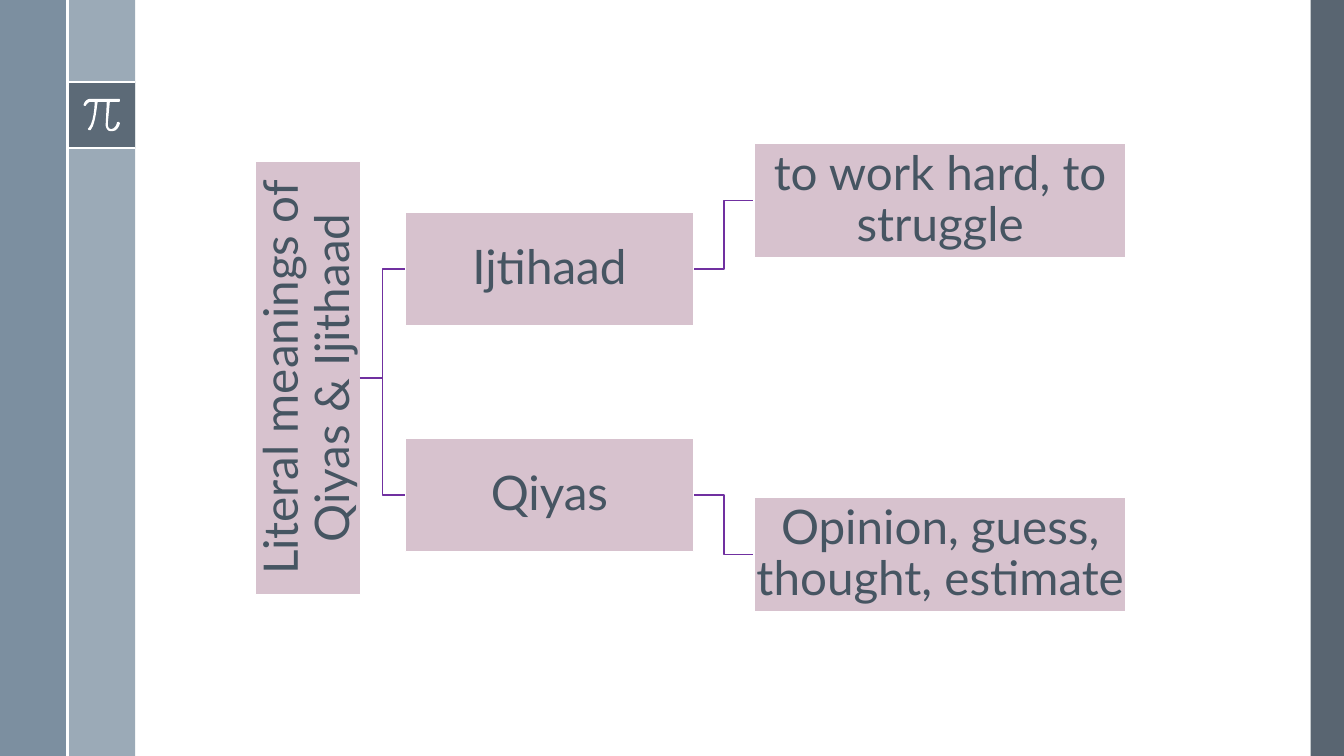
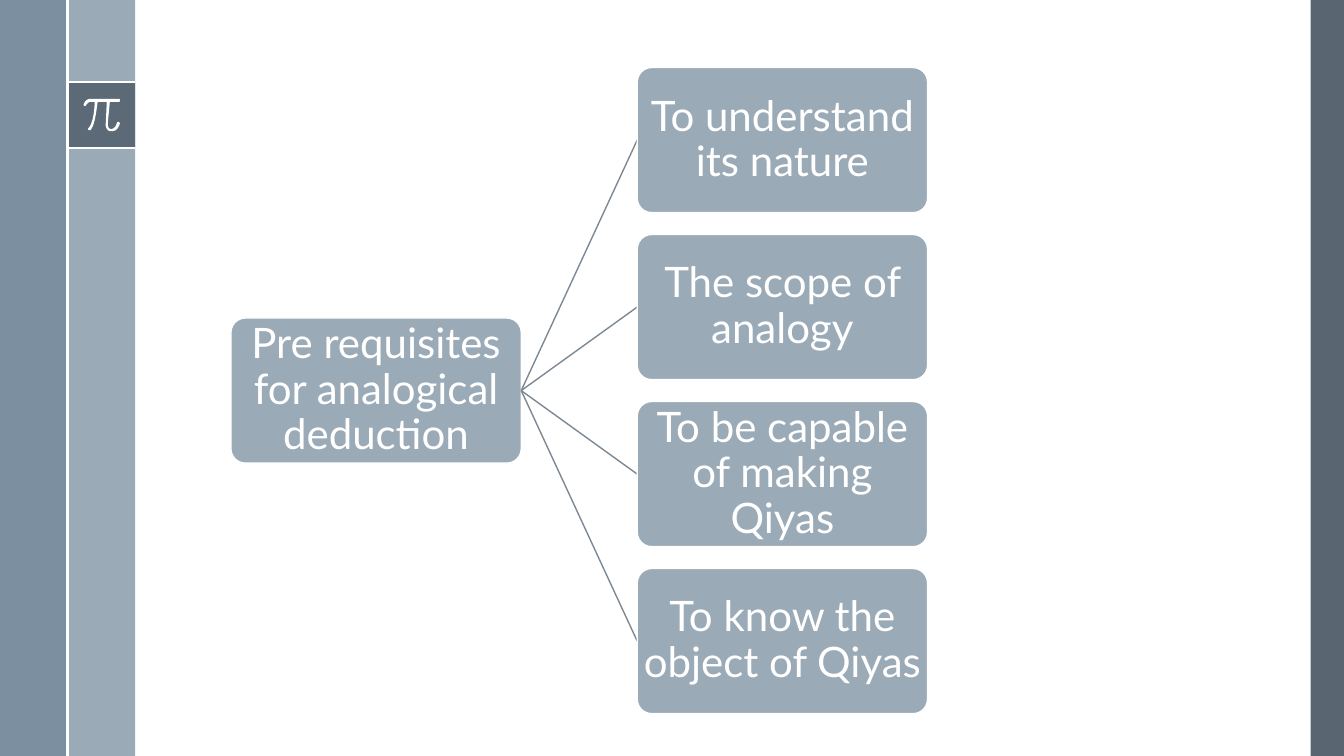
from lxml.etree import SubElement as Sub
from pptx import Presentation
from pptx.dml.color import RGBColor
from pptx.enum.shapes import MSO_CONNECTOR as Conn, MSO_SHAPE as Kind
from pptx.enum.text import MSO_ANCHOR as Anchor, PP_ALIGN as Align
from pptx.oxml.ns import qn
from pptx.util import Pt

SCALE = 9144
WIDE, HIGH = 1333, 750
WHITE, SLATE, STEEL, MIST = "FFFFFF", "475562", "6A8093", "9BAAB7"
ROSE, INK, PLUM, GREY = "D7C2CE", "465562", "7030A0", "7C8893"

FRAME = dict(word_wrap=True, vertical_anchor=Anchor.MIDDLE, margin_left=2 * SCALE,
             margin_right=2 * SCALE, margin_top=2 * SCALE, margin_bottom=2 * SCALE)
PARA = dict(alignment=Align.CENTER, line_spacing=0.9)
FLAT = dict(kind=Kind.RECTANGLE, fill=ROSE, ink=INK, size=34)
ROUND = dict(kind=Kind.ROUNDED_RECTANGLE, fill=MIST, ink=WHITE, size=30)

BANDS = [(1300, 0, 33, HIGH, SLATE, 90), (67, 0, 67, HIGH, MIST, 100),
         (0, 0, 67, HIGH, STEEL, 88), (67, 81, 67, 66, SLATE, 75)]
RULES = [(67, 81, 134, 81), (67, 147, 134, 147), (67, 0, 67, HIGH)]
PI = [(118, 98), (90, 98), (85, 98, 83, 103, 83, 104), (83, 104, 83, 105, 84, 105),
      (85, 105), (85, 105, 87, 101, 90, 101), (94, 101),
      (94, 105, 93, 122, 88, 127), (87, 128, 87, 128, 88, 129), (90, 129),
      (95, 123, 96, 105, 97, 101), (106, 101), (105, 122),
      (105, 122, 104, 126, 107, 129), (108, 130, 109, 130, 110, 130), (112, 130),
      (117, 130, 119, 123, 119, 122), (119, 122, 118, 121, 118, 121),
      (117, 121, 116, 121, 116, 122), (116, 122, 115, 127, 111, 128),
      (110, 128, 109, 128, 108, 127), (107, 126, 107, 123, 107, 122),
      (109, 101), (118, 101), (119, 101, 119, 100, 119, 100),
      (119, 99, 119, 98, 118, 98)]


def px(num):
    """Turn px into EMU."""
    return round(num * SCALE)


def tint(code):
    """Turn a hex string into a colour."""
    return RGBColor.from_string(code)


def apply(item, form):
    """Set every attribute named in a dict."""
    for name, value in form.items():
        setattr(item, name, value)


def paint(shape, code, alpha=100):
    """Give a shape a plain fill, with no shadow."""
    shape.shadow.inherit = False
    shape.fill.solid()
    shape.fill.fore_color.rgb = tint(code)
    if alpha < 100:
        node = shape.fill._xPr.find(qn("a:solidFill"))[0]
        Sub(node, qn("a:alpha"), val=str(alpha * 1000))


def pen(line, code, width):
    """Set the colour and width of a line."""
    line.color.rgb = tint(code)
    line.width = Pt(width)


def band(slide, x, y, w, h, code, alpha):
    """Draw a band without an outline."""
    shape = slide.shapes.add_shape(Kind.RECTANGLE, px(x), px(y), px(w), px(h))
    paint(shape, code, alpha)
    shape.line.fill.background()


def link(slide, ends, code, width=1, kind=Conn.STRAIGHT):
    """Draw a connector between two points."""
    line = slide.shapes.add_connector(kind, *map(px, ends))
    pen(line.line, code, width)
    Sub(line._element.spPr, qn("a:effectLst"))


def box(slide, x, y, w, h, text, look, turn=0):
    """Draw a box with centred text."""
    shape = slide.shapes.add_shape(look["kind"], px(x), px(y), px(w), px(h))
    shape.rotation = turn
    if look["kind"] == Kind.ROUNDED_RECTANGLE:
        shape.adjustments[0] = 0.1
    paint(shape, look["fill"])
    pen(shape.line, WHITE, 1)
    apply(shape.text_frame, FRAME)
    para = shape.text_frame.paragraphs[0]
    apply(para, PARA)
    run = para.add_run()
    run.text = text
    apply(run.font, dict(name="Lato", size=Pt(look["size"])))
    run.font.color.rgb = tint(look["ink"])


def curve(start, seg, steps=6):
    """List points along a cubic curve."""
    ctrl = [start, seg[:2], seg[2:4], seg[4:]]
    for step in range(1, steps + 1):
        t = step / steps
        parts = ((1 - t) ** 3, 3 * t * (1 - t) ** 2, 3 * t * t * (1 - t), t ** 3)
        yield tuple(sum(k * pt[i] for k, pt in zip(parts, ctrl)) for i in (0, 1))


def sign(slide):
    """Draw the pi sign."""
    dots = [PI[0]]
    for seg in PI[1:]:
        dots += [seg] if len(seg) == 2 else curve(dots[-1], seg)
    dots = [(px(x), px(y)) for x, y in dots]
    pen_path = slide.shapes.build_freeform(*dots[0])
    pen_path.add_line_segments(dots[1:], close=True)
    shape = pen_path.convert_to_shape()
    paint(shape, WHITE)
    shape.line.fill.background()


def page(deck):
    """Add a slide with the shared bands and sign."""
    slide = deck.slides.add_slide(deck.slide_layouts[6])
    for item in BANDS:
        band(slide, *item)
    for ends in RULES:
        link(slide, ends, WHITE, 1.5)
    sign(slide)
    return slide


def terms(slide):
    """Draw the tree of terms and meanings."""
    rows = [("Ijtihaad", 267, "to work hard, to struggle", 199),
            ("Qiyas", 491, "Opinion, guess, thought, estimate", 550)]
    high = 113
    box(slide, 91, 323, 429, 104, "Literal meanings of Qiyas & Ijithaad", FLAT, 270)
    for term, mid, sense, end in rows:
        link(slide, (357, 375, 402, mid), PLUM, kind=Conn.ELBOW)
        link(slide, (688, mid, 748, end), PLUM, kind=Conn.ELBOW)
        box(slide, 402, mid - high / 2, 286, high, term, FLAT)
        box(slide, 748, end - high / 2, 369, high, sense, FLAT)


def needs(slide):
    """Draw the fan of prerequisites."""
    items = ["To understand its nature", "The scope of analogy",
             "To be capable of making Qiyas", "To know the object of Qiyas"]
    left, right, top, last, w, h = 229, 632, 67, 564, 288, 144
    mid = (top + last + h) / 2
    gap = (last - top) / (len(items) - 1)
    box(slide, left, mid - h / 2, w, h, "Pre requisites for analogical deduction", ROUND)
    for i, text in enumerate(items):
        y = top + i * gap
        link(slide, (left + w, mid, right, y + h / 2), GREY)
        box(slide, right, y, w, h, text, ROUND)


def main():
    """Build and save the deck."""
    deck = Presentation()
    apply(deck, dict(slide_width=px(WIDE), slide_height=px(HIGH)))
    for draw in (terms, needs):
        draw(page(deck))
    deck.save("out.pptx")


if __name__ == "__main__":
    main()
